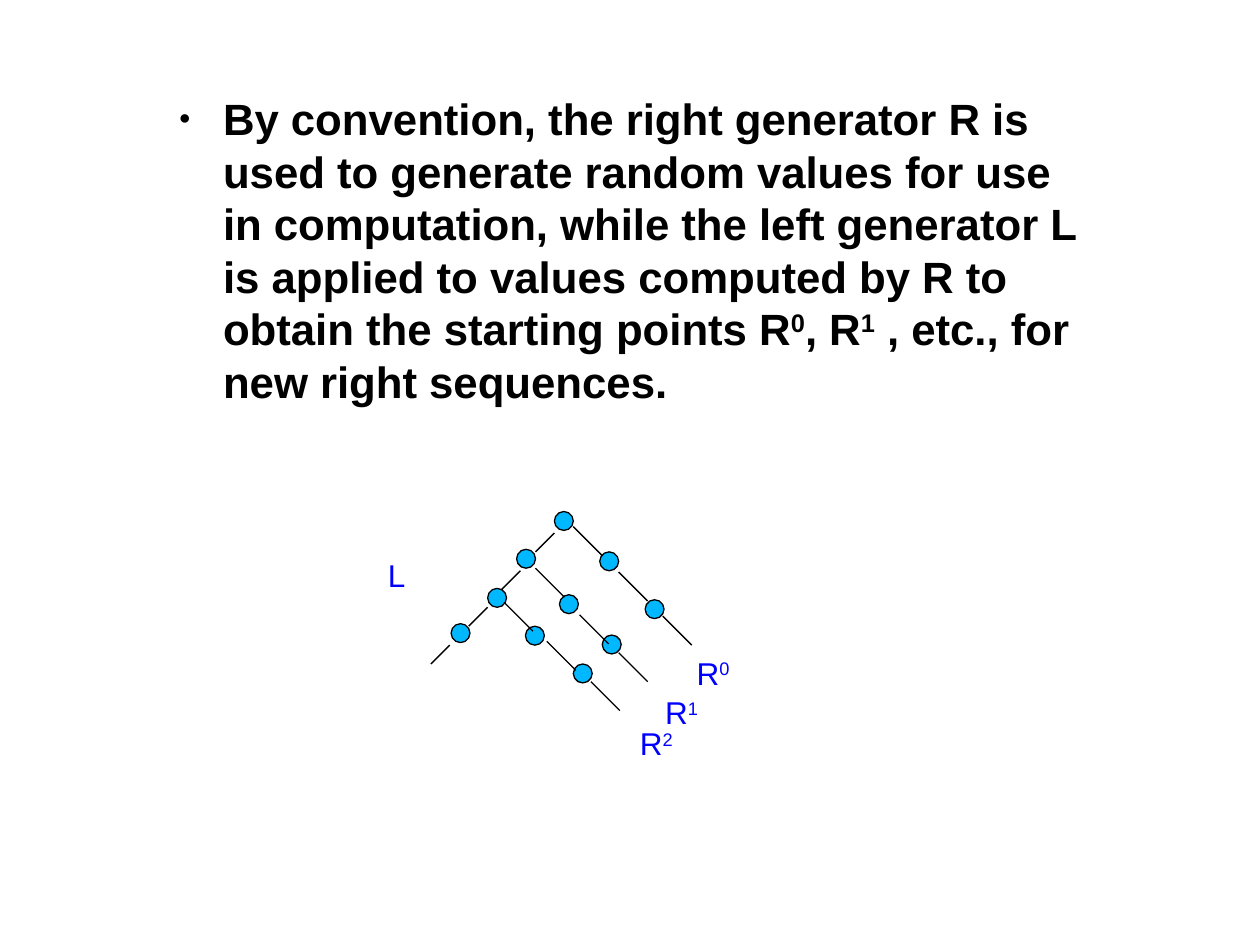
from lxml import etree
from pptx import Presentation
from pptx.dml.color import RGBColor
from pptx.enum.shapes import MSO_CONNECTOR, MSO_SHAPE
from pptx.enum.text import MSO_ANCHOR, MSO_AUTO_SIZE
from pptx.oxml.ns import qn
from pptx.util import Inches, Pt

STRAIGHT = MSO_CONNECTOR.STRAIGHT
OVAL = MSO_SHAPE.OVAL
MIDDLE = MSO_ANCHOR.MIDDLE
GROW = MSO_AUTO_SIZE.SHAPE_TO_FIT_TEXT
FONT = "Arial"
BLACK, BLUE, NODE_FILL = "000000", "0000FF", "00B8FF"

NODE_SIZE = 0.15
LEFT_STEP, RIGHT_STEP = (-0.15, 0.15), (0.23, 0.23)
# Offsets from the top left corner of the tree
NODES = [
    (1.42, 0), (1.12, 0.3), (0.89, 0.61), (0.6, 0.89),  # L
    (1.78, 0.32), (2.14, 0.7),  # R0
    (1.46, 0.66), (1.8, 0.98),  # R1
    (1.19, 0.91), (1.57, 1.21),  # R2
]
LEFT_STARTS = [(1.42, 0.17), (1.15, 0.47), (0.89, 0.76), (0.59, 1.06)]
RIGHT_STARTS = [
    (1.57, 0.12), (1.93, 0.48), (2.28, 0.83),
    (1.27, 0.45), (1.62, 0.82), (1.93, 1.12),
    (1.02, 0.72), (1.36, 1.03), (1.71, 1.35),
]
LABELS = [
    (0, 0.3, 0.34, ["L"]),
    (2.45, 1.08, 0.48, ["R", "0"]),
    (2.2, 1.39, 0.48, ["R", "1"]),
    (2, 1.64, 0.48, ["R", "2"]),
]


def color(value):
    return RGBColor.from_string(value)


def add_runs(paragraph, parts, size, font_color, bold=False):
    """Add the parts as runs, every second one as a superscript."""
    for index, part in enumerate(parts):
        run = paragraph.add_run()
        run.text = part
        run.font.name = FONT
        run.font.size = Pt(size)
        run.font.bold = bold
        run.font.color.rgb = color(font_color)
        if index % 2:
            run._r.get_or_add_rPr().set("baseline", "30000")


def add_bullet(paragraph, character, percent, margin, indent):
    properties = paragraph._p.get_or_add_pPr()
    properties.set("marL", str(Inches(margin)))
    properties.set("indent", str(Inches(indent)))
    size = etree.SubElement(properties, qn("a:buSzPct"))
    size.set("val", str(percent * 1000))
    etree.SubElement(properties, qn("a:buFont")).set("typeface", FONT)
    etree.SubElement(properties, qn("a:buChar")).set("char", character)


def add_explanation(slide, left, top, width, height):
    box = slide.shapes.add_textbox(Inches(left), Inches(top), Inches(width), Inches(height))
    text_frame = box.text_frame
    text_frame.word_wrap = True
    text_frame.margin_left = text_frame.margin_right = Inches(0.09)
    paragraph = text_frame.paragraphs[0]
    add_bullet(paragraph, "●", 45, 0.47, -0.35)
    add_runs(paragraph, [
        "By convention, the right generator R is used to generate random values "
        "for use in computation, while the left generator L is applied to values "
        "computed by R to obtain the starting points R",
        "0", ", R", "1", " , etc., for new right sequences.",
    ], 25, BLACK, bold=True)


def add_node(shapes, x, y):
    node = shapes.add_shape(OVAL, Inches(x), Inches(y), Inches(NODE_SIZE), Inches(NODE_SIZE))
    node.shadow.inherit = False
    node.fill.solid()
    node.fill.fore_color.rgb = color(NODE_FILL)
    node.line.color.rgb = color(BLACK)
    node.line.width = Pt(0.75)


def add_branch(shapes, x, y, step):
    branch = shapes.add_connector(
        STRAIGHT, Inches(x), Inches(y), Inches(x + step[0]), Inches(y + step[1]))
    branch.line.color.rgb = color(BLACK)
    branch.line.width = Pt(0.75)
    etree.SubElement(branch._element.spPr, qn("a:effectLst"))


def add_label(shapes, x, y, width, parts):
    label = shapes.add_textbox(Inches(x), Inches(y), Inches(width), Inches(0.4))
    text_frame = label.text_frame
    text_frame.word_wrap = False
    text_frame.auto_size = GROW
    text_frame.vertical_anchor = MIDDLE
    add_runs(text_frame.paragraphs[0], parts, 18, BLUE)


def add_generator_tree(slide, left, top):
    shapes = slide.shapes.add_group_shape().shapes
    for x, y in NODES:
        add_node(shapes, left + x, top + y)
    for starts, step in ((LEFT_STARTS, LEFT_STEP), (RIGHT_STARTS, RIGHT_STEP)):
        for x, y in starts:
            add_branch(shapes, left + x, top + y, step)
    for x, y, width, parts in LABELS:
        add_label(shapes, left + x, top + y, width, parts)


def main():
    presentation = Presentation()
    presentation.slide_width = Inches(10)
    presentation.slide_height = Inches(7.5)
    slide = presentation.slides.add_slide(presentation.slide_layouts[6])
    add_explanation(slide, 1.21, 0.68, 7.48, 2.72)
    add_generator_tree(slide, 2.98, 4.06)
    presentation.save("out.pptx")


if __name__ == "__main__":
    main()
